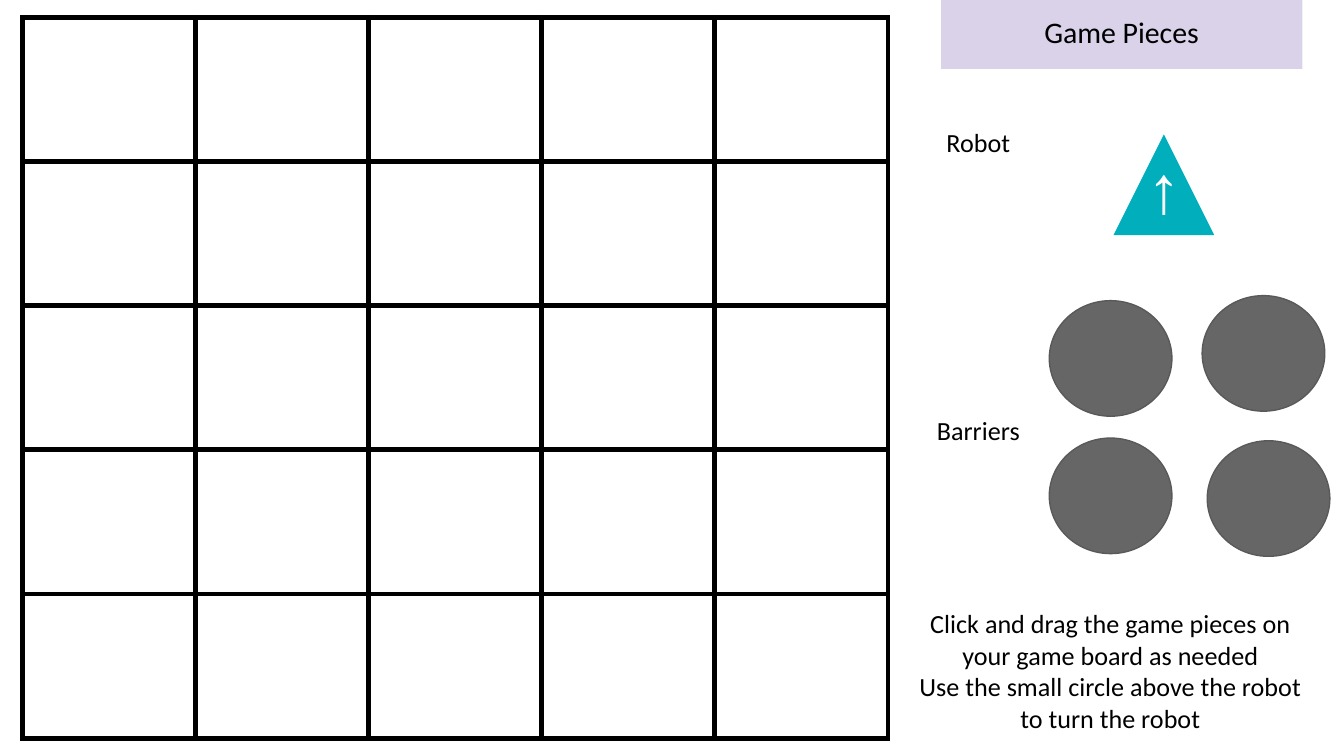
from lxml import etree
from pptx import Presentation
from pptx import util as u
from pptx.dml.color import RGBColor
from pptx.enum import shapes, text
from pptx.oxml.ns import qn

PX = 2286  # 400 px to the inch
WIDTH, HEIGHT = 4000, 2250

BOARD = dict(left=68, top=52, cell_w=515, cell_h=429, size=5)
TITLE = ("Game Pieces", (2801, 0, 1075, 205))
LABELS = [
    (["Click and drag the game pieces on your game board as needed",
      "Use the small circle above the robot to turn the robot"], (2685, 1769, 1240, 448)),
    (["Robot"], (2672, 336, 480, 144)),
    (["Barriers"], (2672, 1194, 480, 144)),
]
BARRIERS = [(3123, 1304), (3593, 1312), (3578, 880), (3123, 895)]
BARRIER_SIZE = (365, 344)
ROBOT = ("↑", (3314, 400, 300, 300))


def px(*values):
    return [u.Emu(v * PX) for v in values]


def rgb(color):
    return RGBColor.from_string(color)


def write(sp, lines, size, font="Calibri", color="000000",
          anchor=text.MSO_ANCHOR.TOP, insets=(40, 40, 40, 40)):
    """Fill a shape with centred, wrapped paragraphs."""
    tf = sp.text_frame
    tf.text = "\n".join(lines)
    tf.word_wrap = True
    tf.auto_size = text.MSO_AUTO_SIZE.NONE
    tf.vertical_anchor = anchor
    tf.margin_left, tf.margin_top, tf.margin_right, tf.margin_bottom = px(*insets)
    for p in tf.paragraphs:
        p.alignment = text.PP_ALIGN.CENTER
        for r in p.runs:
            r.font.size = u.Pt(size)
            r.font.name = font
            r.font.color.rgb = rgb(color)


def add_piece(slide, kind, box, fill, line=None):
    sp = slide.shapes.add_shape(kind, *px(*box))
    sp.shadow.inherit = False
    sp.fill.solid()
    sp.fill.fore_color.rgb = rgb(fill)
    if line:
        sp.line.color.rgb = rgb(line)
        sp.line.width = u.Pt(0.75)
    else:
        sp.line.fill.background()
    return sp


def set_borders(cell, color, width):
    tc_pr = cell._tc.get_or_add_tcPr()
    for i, side in enumerate(("lnL", "lnR", "lnT", "lnB")):
        ln = etree.Element(qn("a:" + side), w=str(u.Pt(width)))
        fill = etree.SubElement(ln, qn("a:solidFill"))
        etree.SubElement(fill, qn("a:srgbClr"), val=color)
        tc_pr.insert(i, ln)


def add_board(slide, left, top, cell_w, cell_h, size):
    box = px(left, top, cell_w * size, cell_h * size)
    table = slide.shapes.add_table(size, size, *box).table
    table.first_row = table.horz_banding = False
    for cell in table.iter_cells():
        cell.fill.background()
        set_borders(cell, "000000", 3)


def main():
    prs = Presentation()
    prs.slide_width, prs.slide_height = px(WIDTH, HEIGHT)
    slide = prs.slides.add_slide(prs.slide_layouts.get_by_name("Title Only"))

    title = slide.shapes.title
    heading, box = TITLE
    title.left, title.top, title.width, title.height = px(*box)
    title.fill.solid()
    title.fill.fore_color.rgb = rgb("D9D2E9")
    write(title, [heading], 16)

    add_board(slide, **BOARD)
    for corner in BARRIERS:
        add_piece(slide, shapes.MSO_SHAPE.OVAL, corner + BARRIER_SIZE, "666666", "595959")
    for lines, box in LABELS:
        write(slide.shapes.add_textbox(*px(*box)), lines, 14)

    arrow, box = ROBOT
    robot = add_piece(slide, shapes.MSO_SHAPE.ISOSCELES_TRIANGLE, box, "01AEBC")
    write(robot, [arrow], 36, "Arial", "FFFFFF", text.MSO_ANCHOR.MIDDLE, (0, 0, 0, 140))

    prs.save("out.pptx")


if __name__ == "__main__":
    main()
